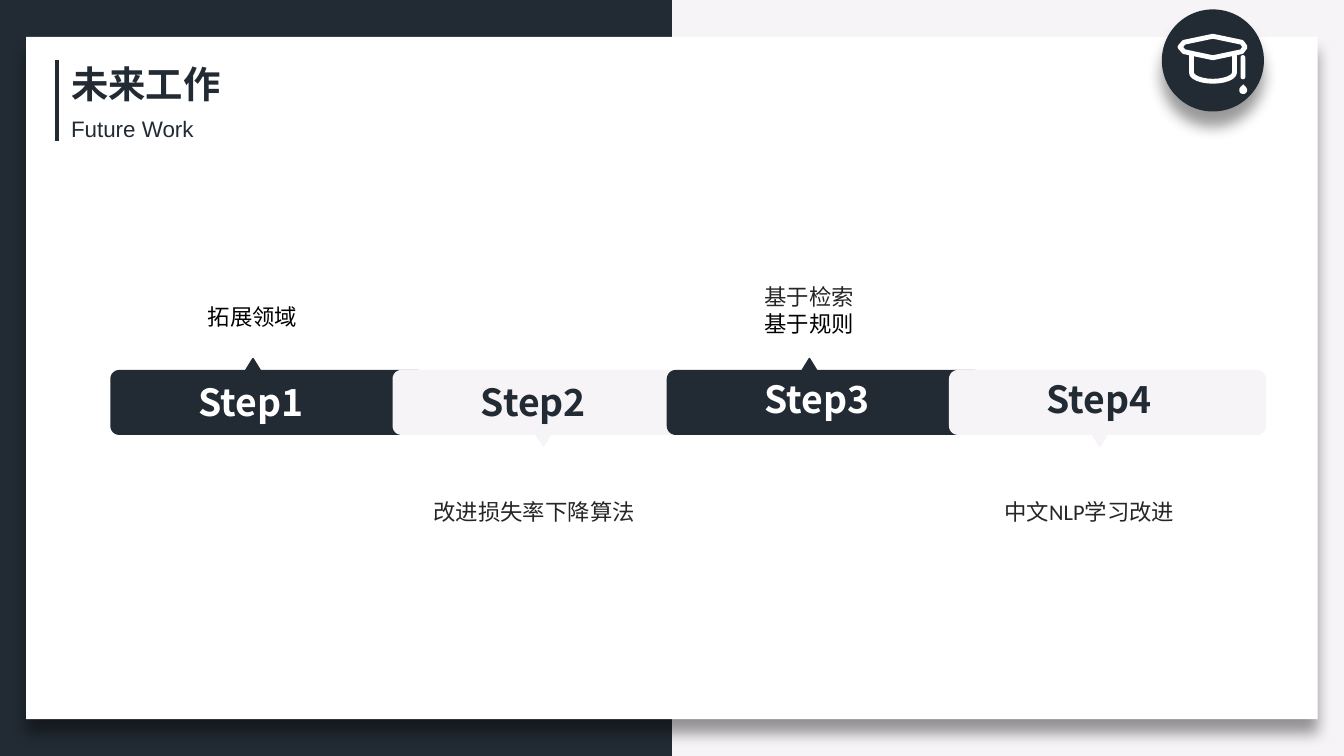
"""Build the future work slide: four steps on a chain of pointed bars."""
import dataclasses
import math

import pptx
import pptx.dml.color
import pptx.enum.shapes
import pptx.enum.text
import pptx.oxml
import pptx.oxml.ns
import pptx.util
from lxml import etree


@dataclasses.dataclass(frozen=True)
class Theme:
    navy = pptx.dml.color.RGBColor.from_string("222B34")
    pale = pptx.dml.color.RGBColor.from_string("F6F4F7")
    white = pptx.dml.color.RGBColor.from_string("FFFFFF")
    black = pptx.dml.color.RGBColor.from_string("000000")
    grey = pptx.dml.color.RGBColor.from_string("262626")
    heading_font = "Noto Sans CJK SC"
    subtitle_font = "Arial"
    body_font = "Calibri"
    heading_size = 20
    body_size = 12


theme = Theme()
preset = pptx.enum.shapes.MSO_SHAPE
qn = pptx.oxml.ns.qn
deck = pptx.Presentation()
deck.slide_width = pptx.util.Inches(10)
deck.slide_height = deck.slide_width * 9 // 16
slide = deck.slides.add_slide(deck.slide_layouts[6])
slide.background.fill.solid()
slide.background.fill.fore_color.rgb = theme.pale
columns = 100
rows = columns * 9 / 16


def grid(*lengths):
    """Turn square grid units, one hundred to the slide's width, into EMU."""
    return [pptx.util.Emu(round(length * deck.slide_width / columns)) for length in lengths]


def write(lines, box, font, size, colors, bold=False, centred=False, wrap=False):
    """Place lines of text, each with its own colour."""
    label = slide.shapes.add_textbox(*grid(*box))
    frame = label.text_frame
    frame.word_wrap = wrap
    frame.text = "\n".join(lines)
    for paragraph, color in zip(frame.paragraphs, colors):
        if centred:
            paragraph.alignment = pptx.enum.text.PP_ALIGN.CENTER
            paragraph.line_spacing = 1.5
        for run in paragraph.runs:
            run.font.name = font
            run.font.size = pptx.util.Pt(size)
            run.font.bold = bold
            run.font.color.rgb = color
            east_asian = etree.SubElement(run.font._element, qn("a:ea"))
            east_asian.set("typeface", theme.heading_font)


for kind, box, color, raised, turn in [
    (preset.RECTANGLE, (0, 0, columns / 2, rows), theme.navy, False, 0),
    (preset.RECTANGLE, (1.95, 2.75, 96.1, 50.75), theme.white, True, 0),
    (preset.OVAL, (86.45, 0.7, 7.6, 7.6), theme.navy, True, 0),
    (preset.ROUNDED_RECTANGLE, (92.3, 4.1, 0.36, 1.8), theme.white, False, 0),
    (preset.TEAR, (92.2, 6.4, 0.6, 0.6), theme.white, False, -45),
]:
    piece = slide.shapes.add_shape(kind, *grid(*box))
    piece.shadow.inherit = False
    piece.fill.solid()
    piece.fill.fore_color.rgb = color
    piece.line.fill.background()
    piece.rotation = turn
    if kind == preset.ROUNDED_RECTANGLE:
        piece.adjustments[0] = 0.5
    if raised:
        effects = piece._element.spPr.find(qn("a:effectLst"))
        shadow = etree.SubElement(effects, qn("a:outerShdw"), blurRad="101600",
                                  dist="101600", dir="5400000", algn="t", rotWithShape="0")
        tint = etree.SubElement(shadow, qn("a:srgbClr"), val=str(theme.black))
        etree.SubElement(tint, qn("a:alpha"), val="40000")

title_rule = slide.shapes.add_connector(
    pptx.enum.shapes.MSO_CONNECTOR.STRAIGHT, *grid(4.25, 4.5, 4.25, 10.5))
title_rule.line.color.rgb = theme.navy
title_rule.line.width = pptx.util.Pt(2.25)
etree.SubElement(title_rule._element.spPr, qn("a:effectLst"))

cap_board = [(87.8, 3.5), (88.1, 3.15), (90.25, 2.7), (92.4, 3.15),
             (92.65, 3.5), (92.4, 3.85), (90.25, 4.3), (88.1, 3.85)]
cap_body = [(90.25 - 1.6 * math.cos(step * math.pi / 12),
             5.4 + 0.65 * math.sin(step * math.pi / 12)) for step in range(13)]
cap_body = [(88.65, 4.1), *cap_body, (91.85, 4.1)]
outlines = [(cap_board, True, None, theme.white, 2.6), (cap_body, False, None, theme.white, 2.6)]

pair_pitch, bar_pitch, bar_width = 41.4, 21, 23.45
bar_top, bar_bottom, radius = 27.6, 32.3, 0.6
for step in range(4):
    upward = step % 2 == 0
    left = 8.28 + step // 2 * pair_pitch + step % 2 * bar_pitch
    right = left + bar_width
    color = theme.navy if upward else theme.pale
    bar = []
    for corner, (x, y) in enumerate([
        (left + radius, bar_top + radius), (right - radius, bar_top + radius),
        (right - radius, bar_bottom - radius), (left + radius, bar_bottom - radius),
    ]):
        for part in range(7):
            angle = math.pi * (1 + corner / 2 + part / 12)
            bar.append((x + radius * math.cos(angle), y + radius * math.sin(angle)))
        if corner == 0 and upward:
            tip = left + 10.55
            bar += [(tip - 0.55, bar_top), (tip, bar_top - 0.9), (tip + 0.55, bar_top)]
        if corner == 2 and not upward:
            tip = left + 11.15
            bar += [(tip + 0.55, bar_bottom), (tip, bar_bottom + 0.9), (tip - 0.55, bar_bottom)]
    outlines.append((bar, True, color, color, 1))

for points, closed, fill, line, width in outlines:
    vertices = [grid(*point) for point in points]
    builder = slide.shapes.build_freeform(*vertices[0])
    builder.add_line_segments(vertices[1:], close=closed)
    outline = builder.convert_to_shape()
    outline.shadow.inherit = False
    if fill is None:
        outline.fill.background()
    else:
        outline.fill.solid()
        outline.fill.fore_color.rgb = fill
    outline.line.color.rgb = line
    outline.line.width = pptx.util.Pt(width)
    etree.SubElement(outline.line._get_or_add_ln(), qn("a:round"))

write(["未来工作"], (4.3, 4.1, 13.2, 7.7), theme.heading_font, theme.heading_size,
      [theme.navy], bold=True)
write(["Future Work"], (4.3, 8.1, 11.2, 5), theme.subtitle_font, theme.body_size, [theme.navy])

for step, (left, top) in enumerate([(13.8, 27.7), (34.8, 27.7), (55.9, 27.5), (76.9, 27.5)]):
    write([f"Step{step + 1}"], (left, top, 10, 4.4), theme.heading_font, theme.heading_size,
          [theme.navy if step % 2 else theme.white], bold=True)

for caption, box, color in [
    ("拓展领域", (8.8, 21.1, 20, 4), theme.black),
    ("改进损失率下降算法", (30.3, 35.6, 18.9, 4), theme.grey),
    ("中文NLP学习改进", (71.6, 35.6, 18.9, 3.7), theme.grey),
]:
    write([caption], box, theme.body_font, theme.body_size, [color], centred=True, wrap=True)
write(["基于检索", "基于规则"], (55.9, 20.6, 8.8, 5), theme.body_font, theme.body_size,
      [theme.grey, theme.black])

deck.save("out.pptx")
